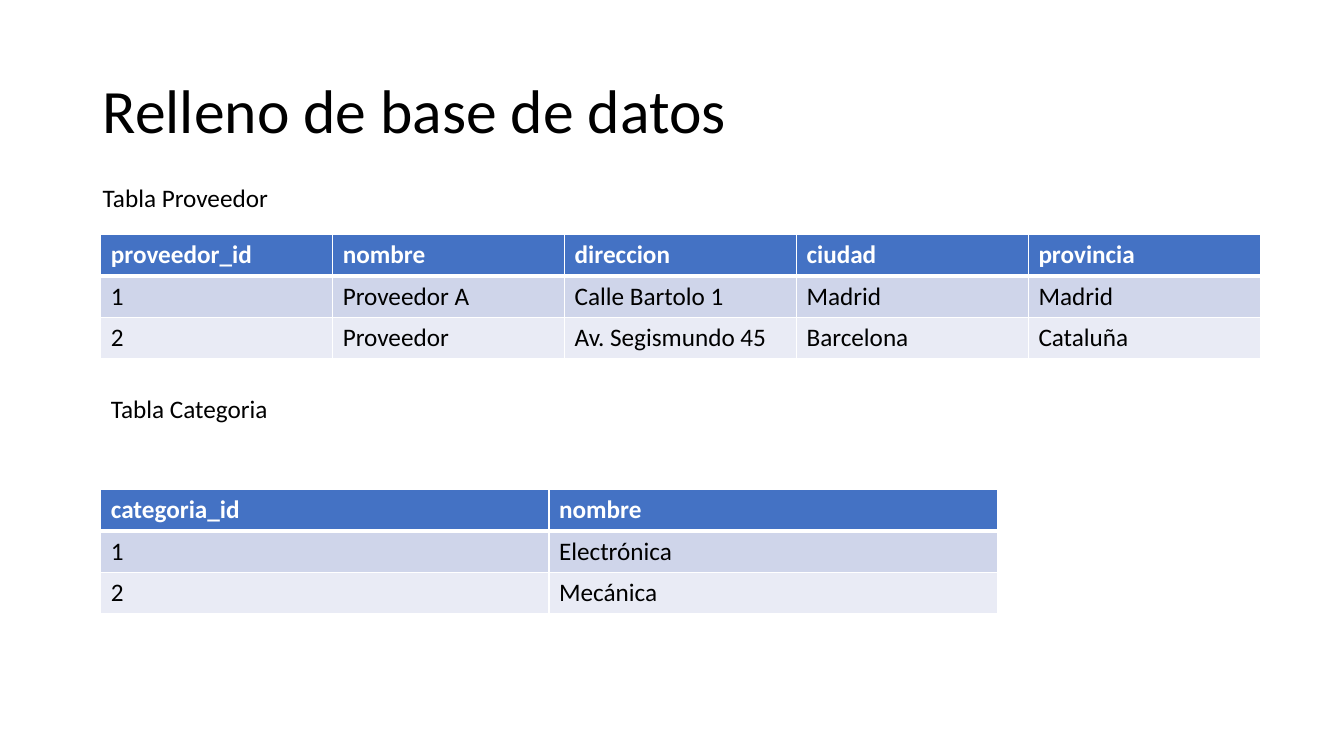
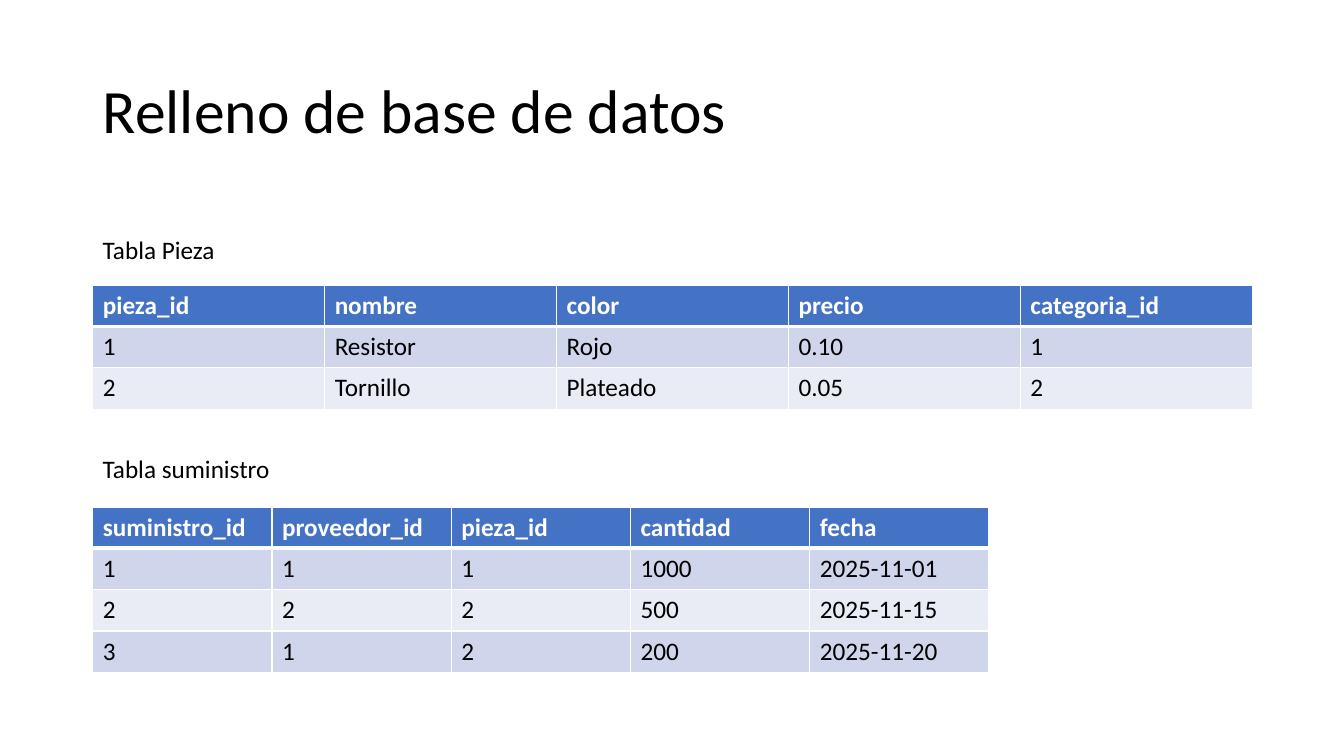
"""Build two slides that list the sample rows of a supplier database."""
import pptx
import pptx.dml.color
import pptx.enum.text
import pptx.oxml
import pptx.oxml.ns
import pptx.util

PX = 9144
THEME = {
    "font": "Calibri",
    "ink": pptx.dml.color.RGBColor.from_string("000000"),
    "paper": pptx.dml.color.RGBColor.from_string("FFFFFF"),
    "header": pptx.dml.color.RGBColor.from_string("4472C4"),
    "bands": [pptx.dml.color.RGBColor.from_string(c) for c in ("CFD5EA", "E9EBF5")],
    "title": pptx.util.Pt(44),
    "body": pptx.util.Pt(18),
    "thin": pptx.util.Pt(1),
    "thick": pptx.util.Pt(3),
}
ROW_H = 41
TITLE = "Relleno de base de datos"
TITLE_BOX = {"left": 92, "top": 40, "width": 1150, "height": 145}

SLIDES = [
    [
        {
            "label": "Tabla Proveedor", "label_box": (92, 176, 431, 42),
            "left": 100, "top": 233, "width": 1150,
            "rows": [
                ["proveedor_id", "nombre", "direccion", "ciudad", "provincia"],
                ["1", "Proveedor A", "Calle Bartolo 1", "Madrid", "Madrid"],
                ["2", "Proveedor", "Av. Segismundo 45", "Barcelona", "Cataluña"],
            ],
        },
        {
            "label": "Tabla Categoria", "label_box": (100, 385, 231, 40),
            "left": 100, "top": 486, "width": 889,
            "rows": [
                ["categoria_id", "nombre"],
                ["1", "Electrónica"],
                ["2", "Mecánica"],
            ],
        },
    ],
    [
        {
            "label": "Tabla Pieza", "label_box": (92, 228, 288, 40),
            "left": 92, "top": 283, "width": 1150,
            "rows": [
                ["pieza_id", "nombre", "color", "precio", "categoria_id"],
                ["1", "Resistor", "Rojo", "0.10", "1"],
                ["2", "Tornillo", "Plateado", "0.05", "2"],
            ],
        },
        {
            "label": "Tabla suministro", "label_box": (92, 445, 303, 40),
            "left": 92, "top": 503, "width": 889,
            "rows": [
                ["suministro_id", "proveedor_id", "pieza_id", "cantidad", "fecha"],
                ["1", "1", "1", "1000", "2025-11-01"],
                ["2", "2", "2", "500", "2025-11-15"],
                ["3", "1", "2", "200", "2025-11-20"],
            ],
        },
    ],
]


def write(tf, text, size, color, bold=False):
    """Put one formatted run in a text frame and return its paragraph."""
    p = tf.paragraphs[0]
    r = p.add_run()
    r.text = text
    for name, value in {"name": THEME["font"], "size": size, "bold": bold}.items():
        setattr(r.font, name, value)
    r.font.color.rgb = color
    return p


def set_borders(cell, widths):
    """Draw the cell's sides in the paper colour, each with its own width."""
    tc_pr = cell._tc.get_or_add_tcPr()
    for side, width in widths.items():
        tc_pr.append(pptx.oxml.parse_xml(
            f'<a:ln{side} {pptx.oxml.ns.nsdecls("a")} w="{width}"><a:solidFill>'
            f'<a:srgbClr val="{THEME["paper"]}"/></a:solidFill></a:ln{side}>'))


prs = pptx.Presentation()
prs.slide_width = 1333 * PX
prs.slide_height = 750 * PX
layout = prs.slide_layouts[5]
for name, value in TITLE_BOX.items():
    setattr(layout.placeholders[0], name, value * PX)

for tables in SLIDES:
    s = prs.slides.add_slide(layout)
    tf = s.shapes.title.text_frame
    tf.vertical_anchor = pptx.enum.text.MSO_ANCHOR.MIDDLE
    p = write(tf, TITLE, THEME["title"], THEME["ink"])
    p.alignment = pptx.enum.text.PP_ALIGN.LEFT
    p.line_spacing = 0.9

    for data in tables:
        rows = data["rows"]
        sp = s.shapes.add_table(
            len(rows), len(rows[0]), data["left"] * PX, data["top"] * PX,
            data["width"] * PX, len(rows) * ROW_H * PX)
        for i, row in enumerate(rows):
            sp.table.rows[i].height = ROW_H * PX
            head = i == 0
            sides = {
                "L": THEME["thin"],
                "R": THEME["thin"],
                "T": THEME["thick"] if i == 1 else THEME["thin"],
                "B": THEME["thick"] if head else THEME["thin"],
            }
            for j, text in enumerate(row):
                cell = sp.table.cell(i, j)
                write(cell.text_frame, text, THEME["body"],
                      THEME["paper"] if head else THEME["ink"], head)
                set_borders(cell, sides)
                cell.fill.solid()
                cell.fill.fore_color.rgb = (
                    THEME["header"] if head else THEME["bands"][(i - 1) % 2])

        tf = s.shapes.add_textbox(*(v * PX for v in data["label_box"])).text_frame
        tf.word_wrap = True
        tf.auto_size = pptx.enum.text.MSO_AUTO_SIZE.SHAPE_TO_FIT_TEXT
        write(tf, data["label"], THEME["body"], THEME["ink"])

prs.save("out.pptx")
